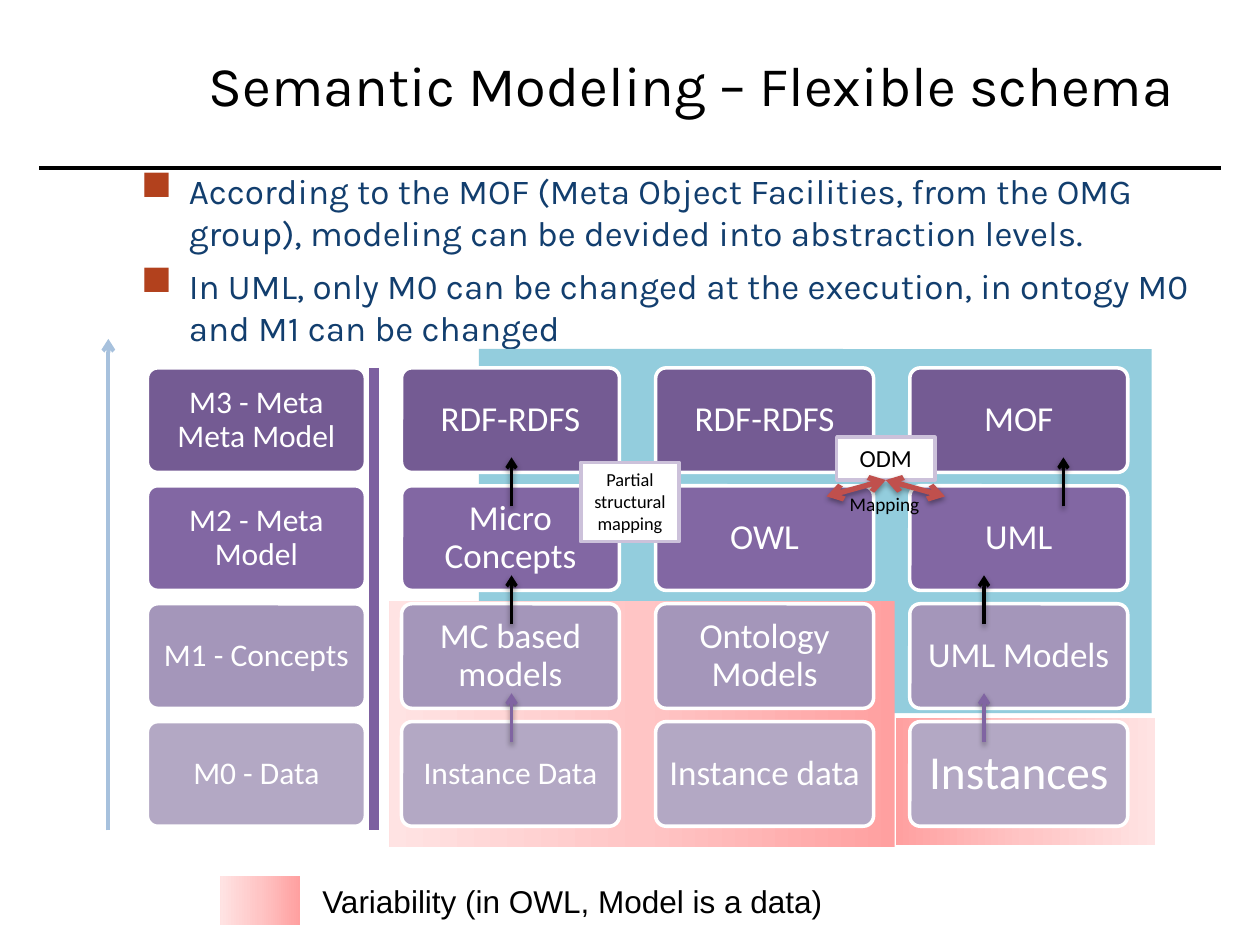
from copy import deepcopy

from lxml import etree
from pptx import Presentation
from pptx.dml.color import RGBColor
from pptx.enum.shapes import MSO_CONNECTOR, MSO_SHAPE
from pptx.enum.text import MSO_ANCHOR, PP_ALIGN
from pptx.oxml.ns import qn
from pptx.util import Inches, Pt

STRAIGHT = MSO_CONNECTOR.STRAIGHT
RECT, ROUNDED = MSO_SHAPE.RECTANGLE, MSO_SHAPE.ROUNDED_RECTANGLE
LEFT, CENTER = PP_ALIGN.LEFT, PP_ALIGN.CENTER
TOP, MIDDLE = MSO_ANCHOR.TOP, MSO_ANCHOR.MIDDLE
color = RGBColor.from_string

deck = Presentation()
deck.slide_width, deck.slide_height = Inches(10), Inches(7.5)
page = deck.slides.add_slide(deck.slide_layouts[6])


def add_box(place, text="", size=18, font="Calibri", ink="000000", fill=None,
            line=None, kind=RECT, align=CENTER, anchor=TOP, wrap=True):
    """Add a box; without a fill it is a plain text box."""
    place = [Inches(value) for value in place]
    if fill:
        box = page.shapes.add_shape(kind, *place)
        box.shadow.inherit = False
        box.fill.solid()
        box.fill.fore_color.rgb = color(fill)
        if line:
            box.line.color.rgb = color(line)
            box.line.width = Pt(2)
        else:
            box.line.fill.background()
    else:
        box = page.shapes.add_textbox(*place)
    frame = box.text_frame
    frame.word_wrap = wrap
    frame.vertical_anchor = anchor
    if text:
        para = frame.paragraphs[0]
        para.text = text
        para.alignment = align
        para.font.size, para.font.name = Pt(size), font
        para.font.color.rgb = color(ink)
    return box


def add_line(start, end, ink, width, heads=(), shadow=False):
    """Add a straight line; heads names the ends that carry an arrow."""
    line = page.shapes.add_connector(STRAIGHT, *[Inches(v) for v in (*start, *end)])
    line.line.color.rgb = color(ink)
    line.line.width = Pt(width)
    properties = line._element.spPr
    for head in heads:
        etree.SubElement(properties.find(qn("a:ln")), qn(f"a:{head}"), type="arrow")
    effects = etree.SubElement(properties, qn("a:effectLst"))
    if shadow:
        outer = etree.SubElement(effects, qn("a:outerShdw"), blurRad=str(Pt(3.1)),
                                 dist=str(Pt(1.7)), dir="5400000", rotWithShape="0")
        black = etree.SubElement(outer, qn("a:srgbClr"), val="000000")
        etree.SubElement(black, qn("a:alpha"), val="36000")
    return line


# Title and rule
add_line((0.31, 1.33), (9.69, 1.33), "000000", 2.25)
add_box((1.48, 0.08, 8.02, 1.17), "Semantic Modeling – Flexible schema",
        32, "Karla", anchor=MIDDLE)

# Bulleted text
bullets = [
    "According to the MOF (Meta Object Facilities, from the OMG group), "
    "modeling can be devided into abstraction levels.",
    "In UML, only M0 can be changed at the execution, in ontogy M0 "
    "and M1 can be changed",
]
body = add_box((1.02, 1.3, 8.56, 1.5)).text_frame
for index, text in enumerate(bullets):
    para = body.add_paragraph() if index else body.paragraphs[0]
    para.text = text
    settings = para._p.get_or_add_pPr()
    settings.set("marL", str(Inches(0.38)))
    settings.set("indent", str(-Inches(0.38)))
    if index:
        para.space_before = Pt(6)
    bullet_color = etree.SubElement(settings, qn("a:buClr"))
    etree.SubElement(bullet_color, qn("a:srgbClr"), val="B2411D")
    etree.SubElement(settings, qn("a:buSzPct"), val="120000")
    etree.SubElement(settings, qn("a:buChar"), char="■")
    para.font.size, para.font.name = Pt(20), "Karla"
    para.font.color.rgb = color("123E6E")

# Fixed-schema area
for place in [(3.8, 2.77, 2.89, 2.03), (6.41, 2.77, 2.73, 2.89)]:
    add_box(place, fill="93CDDD")

# Variable areas and their legend swatch
for place, angle in [((7.11, 5.7, 2.06, 1.01), 0), ((3.09, 4.77, 4.01, 1.95), 180),
                     ((1.75, 6.95, 0.63, 0.39), 180)]:
    area = add_box(place, fill="FFA0A0")
    area.fill.gradient()
    area.fill.gradient_angle = angle
    first, last = area.fill.gradient_stops
    first.color.rgb, first.position = color("FFA0A0"), 0
    last.color.rgb, last.position = color("FFE3E3"), 1
    stops = area._element.spPr.find(qn("a:gradFill")).find(qn("a:gsLst"))
    stops.insert(1, deepcopy(stops[0]))
    middle = area.fill.gradient_stops[1]
    middle.color.rgb, middle.position = color("FFC5C5"), 0.5

# Grid of levels (rows) and technologies (columns)
levels = [
    ("745B93", ["M3 - Meta Meta Model", "RDF-RDFS", "RDF-RDFS", "MOF"]),
    ("8267A3", ["M2 - Meta Model", "Micro Concepts", "OWL", "UML"]),
    ("A496BA", ["M1 - Concepts", "MC based models", "Ontology Models", "UML Models"]),
    ("B3A8C4", ["M0 - Data", "Instance Data", "Instance data", "Instances"]),
]
special_sizes = {"Instance Data": 18, "Instances": 27}
row_step = 0.936
for row, (fill, names) in enumerate(levels):
    for column, name in enumerate(names):
        size = special_sizes.get(name, 20 if column else 18)
        card = add_box((1.17 + 2.017 * column, 2.92 + row_step * row, 1.73, 0.83),
                       name, size, ink="FFFFFF", fill=fill, line="FFFFFF",
                       kind=ROUNDED, anchor=MIDDLE)
        card.adjustments[0] = 0.1
        card.text_frame.paragraphs[0].line_spacing = 0.9
        card.text_frame.margin_left = card.text_frame.margin_right = Inches(0.08)

# ODM mapping between OWL and UML
odm = add_box((6.64, 3.47, 0.78, 0.34), "ODM", 14, fill="FFFFFF", line="CCC1DA")
add_box((6.64, 3.86, 0.76, 0.29), "Mapping", 11, wrap=False)
for x in (6.56, 7.5):
    link = add_line((7.03, 3.81), (x, 3.94), "C0504D", 3, ("headEnd", "tailEnd"), True)
    link.begin_connect(odm, 2)

# Arrows from each level to the one above
for row, (ink, columns) in enumerate([("000000", (4.06, 8.44)), ("000000", (4.06, 7.81)),
                                      ("8064A2", (4.06, 7.81))]):
    bottom = 4.02 + row_step * row
    for x in columns:
        add_line((x, bottom), (x, bottom - 0.39), ink, 2, ("tailEnd",), True)

# Level divider and abstraction axis
add_line((2.97, 2.92), (2.97, 6.59), "7D60A0", 6)
add_line((0.86, 6.59), (0.86, 2.69), "A7C1DD", 2.25, ("tailEnd",))

# Legend text and structural mapping note
add_box((2.46, 6.95, 4.65, 0.44), "Variability (in OWL, Model is a data)",
        18, "Arial", fill="FFFFFF", align=LEFT, wrap=False)
add_box((4.61, 3.67, 0.78, 0.63), "Partial structural mapping",
        10.5, fill="FFFFFF", line="CCC1DA")

deck.save("out.pptx")
